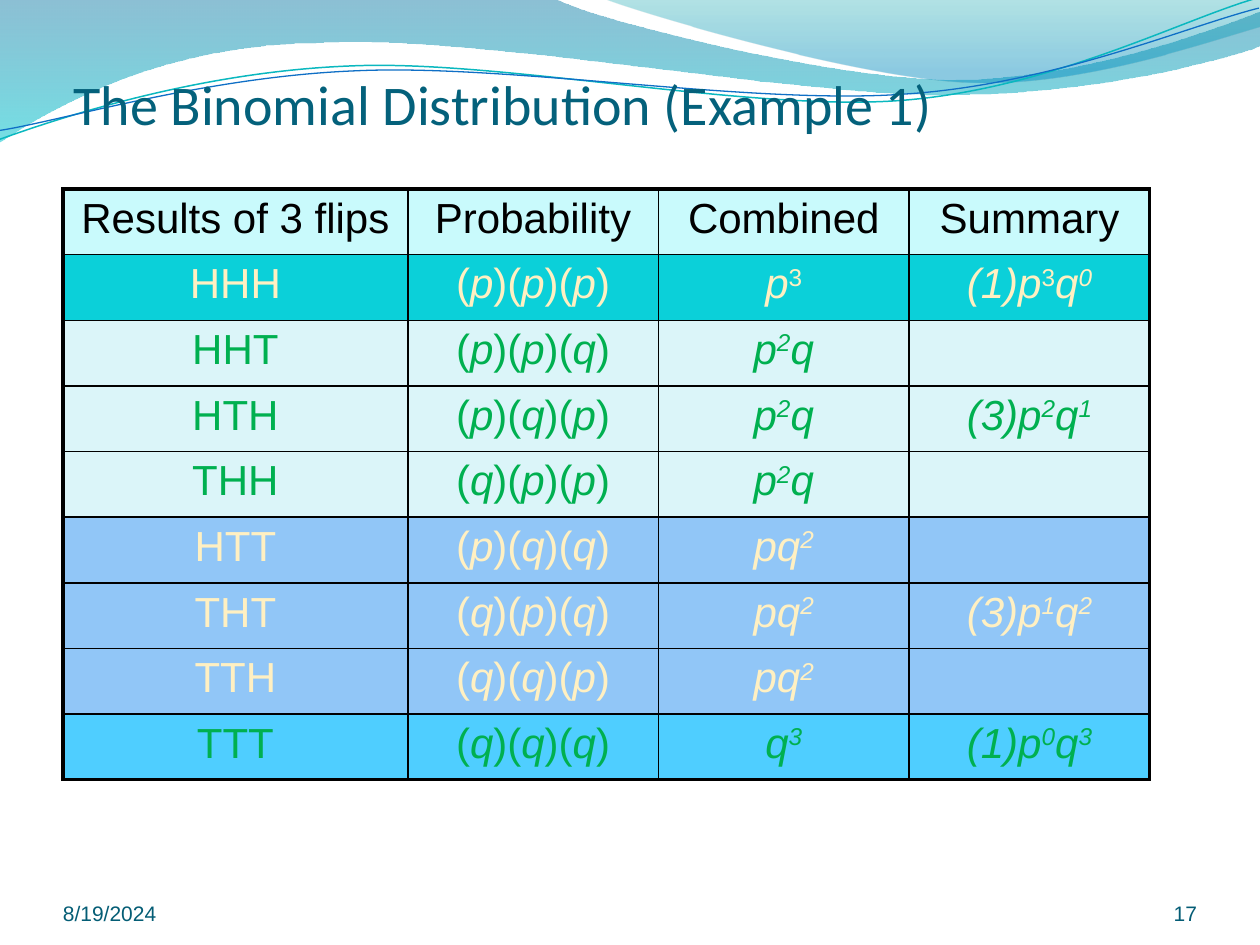
from dataclasses import dataclass
from itertools import groupby

from lxml import etree
from pptx import Presentation
from pptx.dml.color import RGBColor
from pptx.enum.text import MSO_ANCHOR, PP_ALIGN
from pptx.oxml.ns import qn
from pptx.util import Cm, Pt

LEFT, CENTER, RIGHT = PP_ALIGN.LEFT, PP_ALIGN.CENTER, PP_ALIGN.RIGHT
BOTTOM = MSO_ANCHOR.BOTTOM


@dataclass(frozen=True)
class Theme:
    title_font: str = "Calibri"
    body_font: str = "Arial"
    title_size: float = 32
    table_size: float = 24
    footer_size: float = 12
    title_ink: str = "04617B"
    number_ink: str = "045C75"
    date_ink: str = "045D75"
    header_ink: str = "000000"
    cream: str = "FFF0C2"
    green: str = "00B050"
    border: str = "000000"
    inner_border: float = 1
    outer_border: float = 2.25
    header_fill: str = "C9FAFC"
    three_heads: str = "0BD0D9"
    two_heads: str = "DBF5F9"
    one_head: str = "91C6F7"
    no_heads: str = "4FCEFF"
    # Gradient stops: position, colour, opacity in percent
    wide_wave: tuple = ((0, "0074A1", 45), (1, "00C6CF", 55))
    corner_wave: tuple = ((0, "00A1A9", 30), (0.8, "008BBF", 45))
    teal_line: tuple = ("0AB8BF", 0.85)
    blue_line: tuple = ("0F6FC6", 0.75)


THEME = Theme()

# Wave outlines in inches: a pair is a corner, a six-tuple a Bézier segment
WIDE_WAVE = [
    (0, -0.01), (4.4, -0.01),
    (4.76, 0.17, 6.64, 0.63, 7.58, 0.63), (8.53, 0.63, 9.58, 0.26, 10, 0.09),
    (10.01, 0.36),
    (9.83, 0.44, 8.7, 0.76, 7.46, 0.75), (6.22, 0.75, 3.82, 0.28, 2.57, 0.34),
    (1.29, 0.35, 0.46, 0.83, -0.01, 1.13), (0, -0.01)]
CORNER_WAVE = [
    (4.79, -0.01),
    (5.09, 0.11, 6.82, 0.62, 7.69, 0.65), (8.56, 0.69, 9.61, 0.32, 10, 0.21),
    (10, 0), (4.79, -0.01)]
# The two lines are given level and then tilted
TEAL_LINE = [
    (-0.02, 0.87),
    (0.47, 0.72, 1.58, 0.41, 2.78, 0.42), (3.96, 0.42, 5.91, 0.93, 7.12, 0.9),
    (8.32, 0.87, 9.4, 0.36, 10, 0.22)]
BLUE_LINE = [
    (-0.02, 0.8),
    (0.46, 0.75, 1.64, 0.45, 2.83, 0.46), (4.03, 0.46, 5.96, 0.88, 7.16, 0.85),
    (8.35, 0.83, 9.42, 0.42, 10.01, 0.3)]
LINE_TILT = 357.3

HEADINGS = ("Results of 3 flips", "Probability", "Combined", "Summary")
# Fill, ink, outcomes, combined term, summary term (on the middle row)
OUTCOME_GROUPS = (
    (THEME.three_heads, THEME.cream, ("HHH",), "p³", "(1)p³q⁰"),
    (THEME.two_heads, THEME.green, ("HHT", "HTH", "THH"), "p²q", "(3)p²q¹"),
    (THEME.one_head, THEME.cream, ("HTT", "THT", "TTH"), "pq²", "(3)p¹q²"),
    (THEME.no_heads, THEME.green, ("TTT",), "q³", "(1)p⁰q³"),
)
EXPONENTS = {"⁰": "0", "¹": "1", "²": "2", "³": "3"}
COLUMN_WIDTHS = (6.95, 5.05, 5.06, 4.85)
TABLE_HEIGHT = 11.91


def rgb(value):
    return RGBColor.from_string(value)


def add_outline(slide, outline, close):
    """Draw through all points, then bend each six-tuple into a curve."""
    points = [(Cm(2.54 * x), Cm(2.54 * y))
              for segment in outline for x, y in zip(segment[::2], segment[1::2])]
    builder = slide.shapes.build_freeform(*points[0])
    builder.add_line_segments(points[1:], close=close)
    curve = builder.convert_to_shape()
    curve.shadow.inherit = False
    steps = iter(list(curve._element.iter(qn("a:lnTo"))))
    for segment in outline[1:]:
        step = next(steps)
        if len(segment) == 6:
            step.tag = qn("a:cubicBezTo")
            for _ in range(2):
                extra = next(steps)
                step.append(extra[0])
                extra.getparent().remove(extra)
    return curve


def add_wave(slide, outline, stops):
    wave = add_outline(slide, outline, close=True)
    wave.line.fill.background()
    wave.fill.gradient()
    wave.fill.gradient_angle = 270
    for stop, (position, color, _) in zip(wave.fill.gradient_stops, stops):
        stop.position = position
        stop.color.rgb = rgb(color)
    colors = wave._element.spPr.iter(qn("a:srgbClr"))
    for element, (_, _, opacity) in zip(colors, stops):
        etree.SubElement(element, qn("a:alpha"), val=str(opacity * 1000))


def add_wave_line(slide, outline, style):
    color, width = style
    curve = add_outline(slide, outline, close=False)
    curve.rotation = LINE_TILT
    curve.fill.background()
    curve.line.color.rgb = rgb(color)
    curve.line.width = Pt(width)


def set_font(paragraph, name, size, color):
    paragraph.font.name = name
    paragraph.font.size = Pt(size)
    paragraph.font.color.rgb = rgb(color)


def add_label(slide, text, box, font, align=LEFT, top_inset=0):
    label = slide.shapes.add_textbox(*(Cm(length) for length in box))
    frame = label.text_frame
    frame.word_wrap = True
    frame.vertical_anchor = BOTTOM
    frame.margin_left = frame.margin_right = frame.margin_bottom = 0
    frame.margin_top = Cm(top_inset)
    paragraph = frame.paragraphs[0]
    paragraph.text = text
    paragraph.alignment = align
    set_font(paragraph, *font)


def add_term(paragraph, term, italic_chars):
    """Write a term as runs, with its exponents raised."""
    def style(char):
        return char in italic_chars, char in EXPONENTS

    for (italic, raised), chars in groupby(term, key=style):
        run = paragraph.add_run()
        run.text = "".join(EXPONENTS.get(char, char) for char in chars)
        if italic:
            run.font.italic = True
        if raised:
            run.font._element.set("baseline", "30000")


def set_borders(cell, outer_sides):
    properties = cell._tc.get_or_add_tcPr()
    for side in "LRTB":
        width = THEME.outer_border if side in outer_sides else THEME.inner_border
        line = etree.SubElement(properties, qn(f"a:ln{side}"), w=str(Pt(width)))
        fill = etree.SubElement(line, qn("a:solidFill"))
        etree.SubElement(fill, qn("a:srgbClr"), val=THEME.border)


def fill_cell(cell, term, fill, ink, outer_sides, italic_chars):
    set_borders(cell, outer_sides)
    cell.fill.solid()
    cell.fill.fore_color.rgb = rgb(fill)
    if not term:
        return
    paragraph = cell.text_frame.paragraphs[0]
    paragraph.alignment = CENTER
    spacing = etree.SubElement(paragraph._p.get_or_add_pPr(), qn("a:spcBef"))
    etree.SubElement(spacing, qn("a:spcPct"), val="20000")
    set_font(paragraph, THEME.body_font, THEME.table_size, ink)
    add_term(paragraph, term, italic_chars)


def table_rows():
    yield THEME.header_fill, THEME.header_ink, HEADINGS
    for fill, ink, outcomes, combined, summary in OUTCOME_GROUPS:
        for index, flips in enumerate(outcomes):
            probability = "".join("(p)" if flip == "H" else "(q)" for flip in flips)
            shown = summary if index == len(outcomes) // 2 else ""
            yield fill, ink, (flips, probability, combined, shown)


def add_outcome_table(slide):
    rows = list(table_rows())
    last_row, last_column = len(rows) - 1, len(HEADINGS) - 1
    table = slide.shapes.add_table(
        len(rows), len(HEADINGS), Cm(1.27), Cm(3.81),
        Cm(sum(COLUMN_WIDTHS)), Cm(TABLE_HEIGHT)).table
    table.first_row = table.horz_banding = False
    for column, width in zip(table.columns, COLUMN_WIDTHS):
        column.width = Cm(width)
    for r, (fill, ink, terms) in enumerate(rows):
        for c, term in enumerate(terms):
            edges = {"L": c == 0, "R": c == last_column, "T": r == 0, "B": r == last_row}
            outer_sides = [side for side, is_outer in edges.items() if is_outer]
            # Words are upright, variables italic; the cubes of HHH stay upright
            if r == 0 or c == 0:
                italic_chars = ""
            elif c == 1:
                italic_chars = "pq"
            else:
                italic_chars = "pq()13⁰¹²" + ("" if r == 1 else "³")
            fill_cell(table.cell(r, c), term, fill, ink, outer_sides, italic_chars)


def main():
    deck = Presentation()
    deck.slide_width, deck.slide_height = Cm(25.4), Cm(19.05)
    slide = deck.slides.add_slide(deck.slide_layouts[6])
    # Wave decoration
    add_wave(slide, WIDE_WAVE, THEME.wide_wave)
    add_wave(slide, CORNER_WAVE, THEME.corner_wave)
    add_wave_line(slide, TEAL_LINE, THEME.teal_line)
    add_wave_line(slide, BLUE_LINE, THEME.blue_line)
    # Title and table
    add_label(slide, "The Binomial Distribution (Example 1)", (1.48, 0.42, 19.05, 2.34),
              (THEME.title_font, THEME.title_size, THEME.title_ink), top_inset=0.13)
    add_outcome_table(slide)
    # Footer
    add_label(slide, "17", (22.02, 17.65, 2.11, 1.02),
              (THEME.body_font, THEME.footer_size, THEME.number_ink), RIGHT)
    add_label(slide, "8/19/2024", (1.27, 17.65, 5.92, 1.02),
              (THEME.body_font, THEME.footer_size, THEME.date_ink))
    deck.save("out.pptx")


if __name__ == "__main__":
    main()
